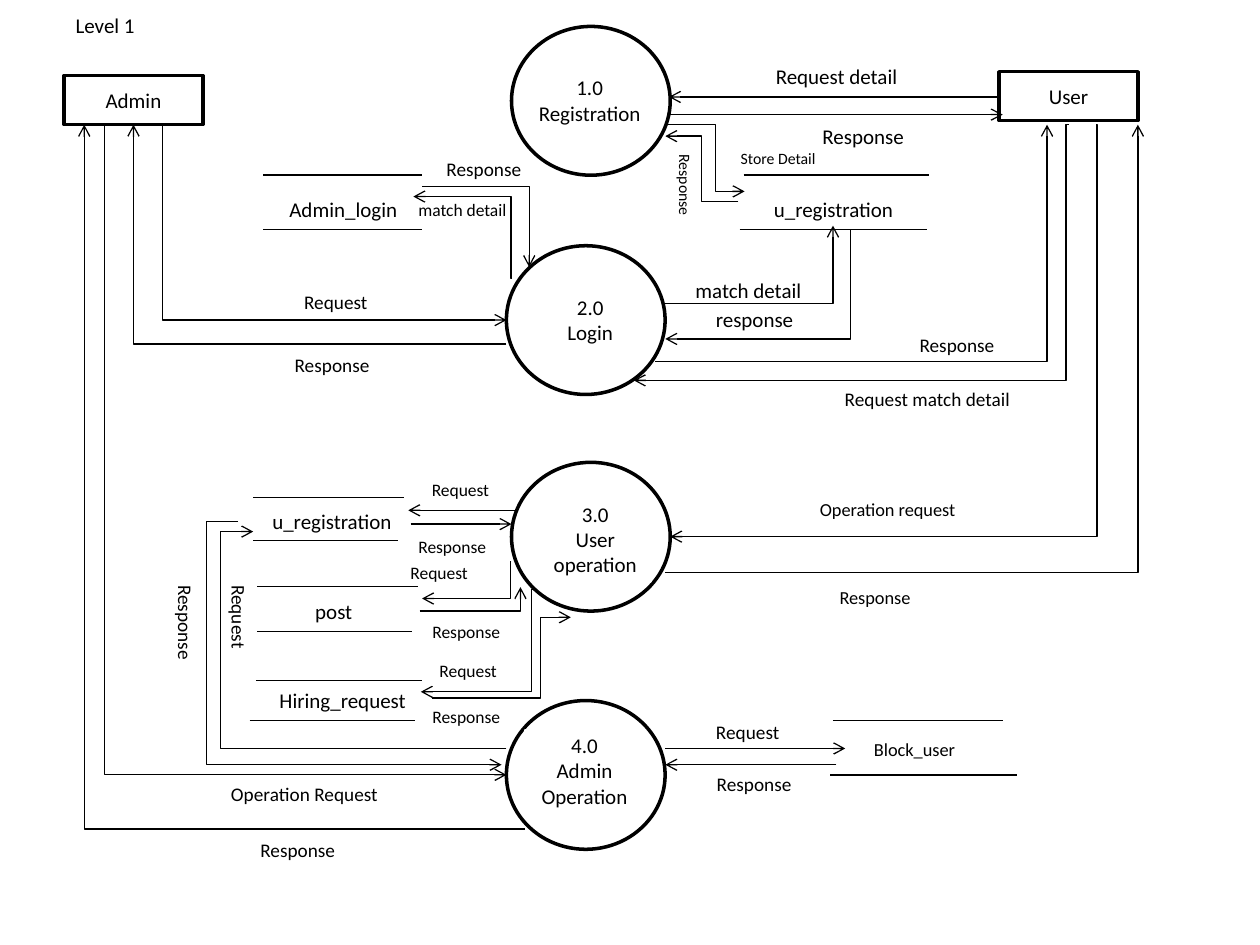
from dataclasses import dataclass
from typing import Optional

from lxml import etree
from pptx import Presentation
from pptx import util as u
from pptx.dml.color import RGBColor
from pptx.enum import shapes, text
from pptx.oxml import ns

BLACK = RGBColor(0x00, 0x00, 0x00)
WHITE = RGBColor(0xFF, 0xFF, 0xFF)
FONT = "Calibri"
PROCESS_WIDTH, PROCESS_HEIGHT = 90.7, 85


@dataclass
class Box:
    caption: str
    left: float
    top: float
    width: float
    height: float
    size: float = 12
    rotation: float = 0
    outline: RGBColor = WHITE


@dataclass
class Flow:
    """An arrow; with turn_x it runs level, then upright at turn_x, then level."""
    x1: float
    y1: float
    x2: float
    y2: float
    turn_x: Optional[float] = None


@dataclass
class StoreRule:
    x1: float
    x2: float
    y: float


PROCESSES = [(292.3, 15.1), (289.4, 140.4), (292.3, 264.2), (289.4, 400.3)]

PROCESS_NAMES = [
    Box("1.0\nRegistration", 300.2, 43.2, 73.6, 28),
    Box("2.0\nLogin", 306, 168.5, 62.6, 28),
    Box("3.0\nUser operation", 308.9, 284.4, 62.6, 47.5),
    Box("4.0\nAdmin Operation", 300.2, 417.6, 67.7, 45.4),
]

ENTITIES = [
    Box("Admin", 36.7, 43.2, 79.2, 28, outline=BLACK),
    Box("User", 571, 41, 79.2, 28, outline=BLACK),
]

STORE_RULES = [
    StoreRule(150.5, 241.2, 100), StoreRule(150.5, 241.2, 131),
    StoreRule(425, 530.6, 100), StoreRule(422.6, 530, 131),
    StoreRule(144.7, 231.1, 284.4), StoreRule(144.7, 233.3, 308.9),
    StoreRule(146.5, 239, 335.3), StoreRule(146.5, 236.2, 360.7),
    StoreRule(146.2, 244.8, 388.8), StoreRule(142.6, 247, 411.8),
    StoreRule(475.9, 573.1, 411.8), StoreRule(474.5, 581, 442.8),
]

STORE_NAMES = [
    Box("Admin_login", 133.9, 109.4, 124.6, 20.2),
    Box("u_registration", 414, 109.4, 124.6, 20.2),
    Box("u_registration", 136, 293, 107.3, 10),
    Box("post", 141.8, 342, 97.9, 14.4),
    Box("Hiring_request", 146.9, 393, 97.9, 14.4),
    Box("Block_user", 483, 419, 79.2, 18, 10.5),
]

FLOW_NAMES = [
    Box("Request detail", 400.3, 36.7, 155.5, 13.7),
    Box("Response", 445, 69, 96.5, 17.3),
    Box("Store Detail", 412.6, 84.2, 64, 12.2, 9),
    Box("Response", 366.5, 98.6, 50.4, 14.4, 9, 90),
    Box("match detail", 389.5, 159, 76.3, 13),
    Box("response", 388, 175.7, 86.4, 13.7),
    Box("Response", 499.7, 190, 94.3, 13.7, 11),
    Box("Request match detail", 466.6, 219, 126.7, 18, 11),
    Box("Request", 144.7, 165.6, 94.3, 13.7, 11),
    Box("Response", 142.6, 201.6, 94.3, 13.7, 11),
    Box("match detail", 231.1, 114.5, 66.2, 10, 10),
    Box("Response", 247, 90.7, 59, 11.5, 11),
    Box("Request", 237.6, 273.6, 51, 12.2, 10),
    Box("Request", 225.4, 321, 51, 12.2, 10),
    Box("Request", 242, 377.3, 51, 12.2, 10),
    Box("Response", 228.2, 303.8, 60.5, 16.6, 10),
    Box("Response", 236.2, 352.8, 60.5, 15.8, 10),
    Box("Response", 238.3, 400.3, 56.2, 18, 10),
    Box("Operation request", 458.6, 282.2, 97.2, 18, 10.5),
    Box("Response", 451.4, 332, 97.2, 18, 10.5),
    Box("Request", 105, 343.4, 63.4, 18, 11, 90),
    Box("Response", 69.8, 350, 72.7, 11.5, 11, 90),
    Box("Operation Request", 116, 447, 116, 13, 11),
    Box("Response", 123, 478.8, 94.3, 13.7, 11),
    Box("Request", 388, 411.8, 78.5, 13, 11),
    Box("Response", 391.7, 441.4, 78.5, 13, 11),
]

FLOWS = [
    # registration
    Flow(570.2, 55.4, 382.3, 55.4), Flow(383, 65.5, 573, 65.5),
    Flow(380.2, 71.3, 425.5, 109.4, 409),
    Flow(422, 115.2, 380.2, 77.8, 401),
    # login
    Flow(482.4, 131, 380.2, 193.7, 486),
    Flow(380.2, 173.5, 476, 129, 476),
    Flow(610.6, 71.3, 362.2, 217.4, 609.1),
    Flow(374.4, 206.6, 598.3, 71.3, 598.3),
    Flow(93.6, 71.3, 289.4, 182.9, 92.9),
    Flow(289.4, 196.6, 76.3, 71.3, 76.3),
    Flow(241.2, 106.6, 302.4, 152.6, 302.4),
    Flow(292.3, 159, 236.2, 112.3, 292),
    # user operation
    Flow(294.5, 291.6, 233.3, 291.6), Flow(234.7, 299.5, 292.3, 299.5),
    Flow(292.3, 321, 241.2, 342, 291.6),
    Flow(239.8, 349.2, 297.4, 335.5, 297.4),
    Flow(304.6, 337, 240.5, 395.3, 303.8),
    Flow(247, 398.9, 326.2, 352.8, 308.9),
    Flow(626.4, 71.3, 383, 306.7, 627),
    Flow(380.2, 327, 650.2, 71.3, 650.2),
    # admin operation
    Flow(59.8, 71.3, 289.4, 442.8, 59.8),
    Flow(136, 298, 286.6, 437, 118),
    Flow(289.4, 427.7, 144.7, 303.8, 126),
    Flow(300.2, 473.8, 48.2, 71.3, 48.2),
    Flow(380.2, 427.7, 483, 427.7), Flow(478, 437, 380.2, 437),
]


def write(frame, caption: str, *, size: float, align=text.PP_ALIGN.CENTER,
          anchor=text.MSO_ANCHOR.MIDDLE) -> None:
    frame.word_wrap = True
    frame.vertical_anchor = anchor
    frame.text = caption
    for para in frame.paragraphs:
        para.alignment = align
        for span in para.runs:
            span.font.name = FONT
            span.font.size = u.Pt(size)
            span.font.color.rgb = BLACK


def add_outlined(page, kind, left: float, top: float, width: float,
                 height: float, outline: RGBColor):
    shape = page.shapes.add_shape(kind, *map(u.Pt, (left, top, width, height)))
    shape.shadow.inherit = False
    shape.fill.solid()
    shape.fill.fore_color.rgb = WHITE
    shape.line.color.rgb = outline
    shape.line.width = u.Pt(2)
    return shape


def add_box(page, box: Box) -> None:
    shape = add_outlined(page, shapes.MSO_SHAPE.RECTANGLE, box.left, box.top,
                         box.width, box.height, box.outline)
    shape.rotation = box.rotation
    write(shape.text_frame, box.caption, size=box.size)


def add_line(page, kind, x1: float, y1: float, x2: float, y2: float):
    line = page.shapes.add_connector(kind, *map(u.Pt, (x1, y1, x2, y2)))
    line.line.color.rgb = BLACK
    line.line.width = u.Pt(0.75)
    etree.SubElement(line._element.spPr, ns.qn("a:effectLst"))
    return line


def add_flow(page, flow: Flow) -> None:
    bent = flow.turn_x is not None
    kind = shapes.MSO_CONNECTOR.ELBOW if bent else shapes.MSO_CONNECTOR.STRAIGHT
    line = add_line(page, kind, flow.x1, flow.y1, flow.x2, flow.y2)
    properties = line._element.spPr
    etree.SubElement(properties.find(ns.qn("a:ln")), ns.qn("a:tailEnd"), type="arrow")
    if bent:
        share = round(100000 * (flow.turn_x - flow.x1) / (flow.x2 - flow.x1))
        guides = properties.find(ns.qn("a:prstGeom")).find(ns.qn("a:avLst"))
        etree.SubElement(guides, ns.qn("a:gd"), name="adj1", fmla=f"val {share}")


def add_heading(page) -> None:
    page.shapes.title._element.getparent().remove(page.shapes.title._element)
    body = page.placeholders[1]
    body.left, body.top, body.width, body.height = map(u.Pt, (36, 3.6, 648, 478.8))
    write(body.text_frame, "Level 1", size=12, align=text.PP_ALIGN.LEFT,
          anchor=text.MSO_ANCHOR.TOP)
    settings = body.text_frame.paragraphs[0]._p.get_or_add_pPr()
    settings.set("marL", "0")
    settings.set("indent", "0")
    etree.SubElement(settings, ns.qn("a:buNone"))


def main() -> None:
    deck = Presentation()
    deck.slide_width, deck.slide_height = u.Pt(720), u.Pt(540)
    page = deck.slides.add_slide(deck.slide_layouts[1])
    add_heading(page)
    for left, top in PROCESSES:
        add_outlined(page, shapes.MSO_SHAPE.OVAL, left, top,
                     PROCESS_WIDTH, PROCESS_HEIGHT, BLACK)
    for rule in STORE_RULES:
        add_line(page, shapes.MSO_CONNECTOR.STRAIGHT, rule.x1, rule.y, rule.x2, rule.y)
    for box in PROCESS_NAMES + ENTITIES + STORE_NAMES + FLOW_NAMES:
        add_box(page, box)
    for flow in FLOWS:
        add_flow(page, flow)
    deck.save("out.pptx")


if __name__ == "__main__":
    main()
